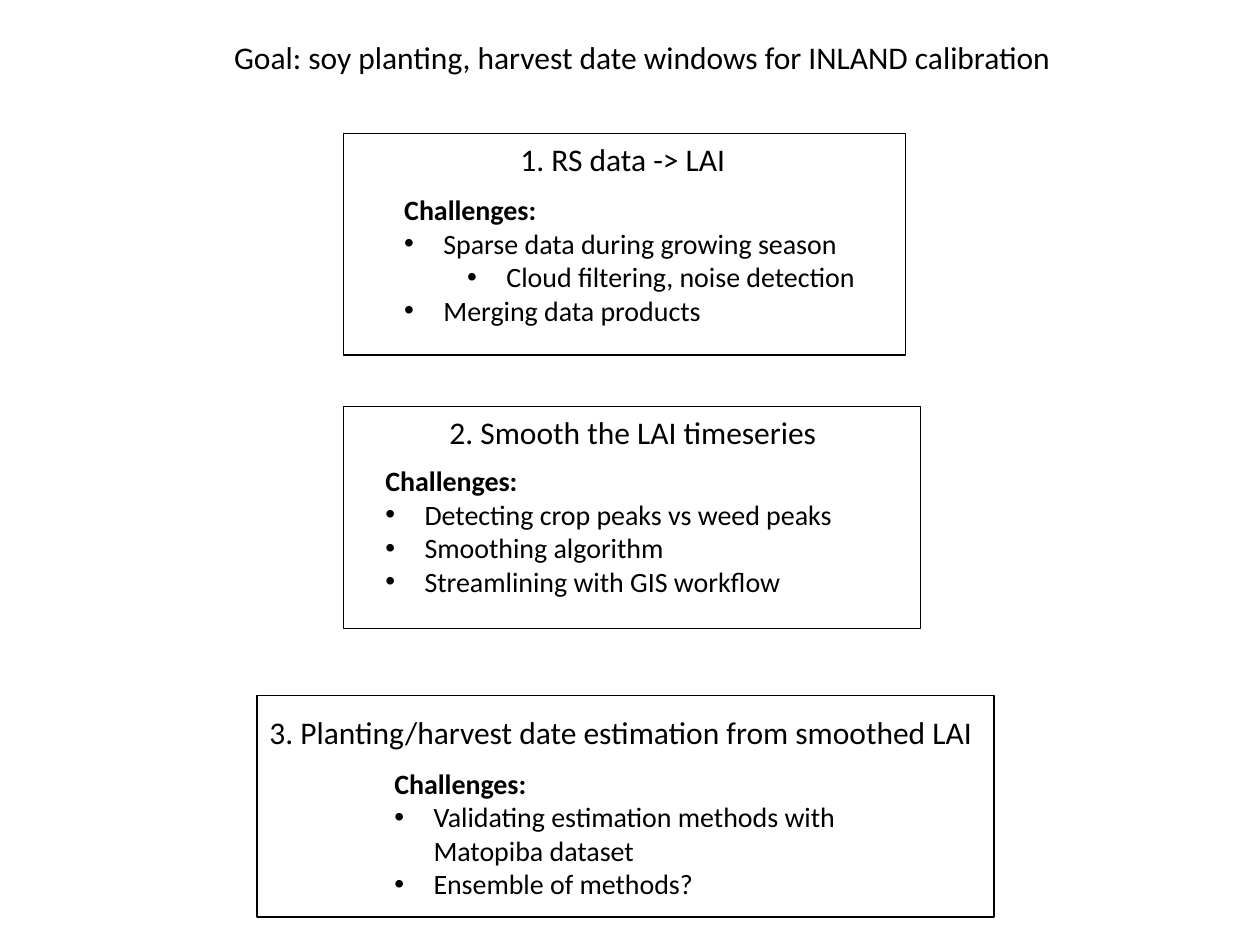
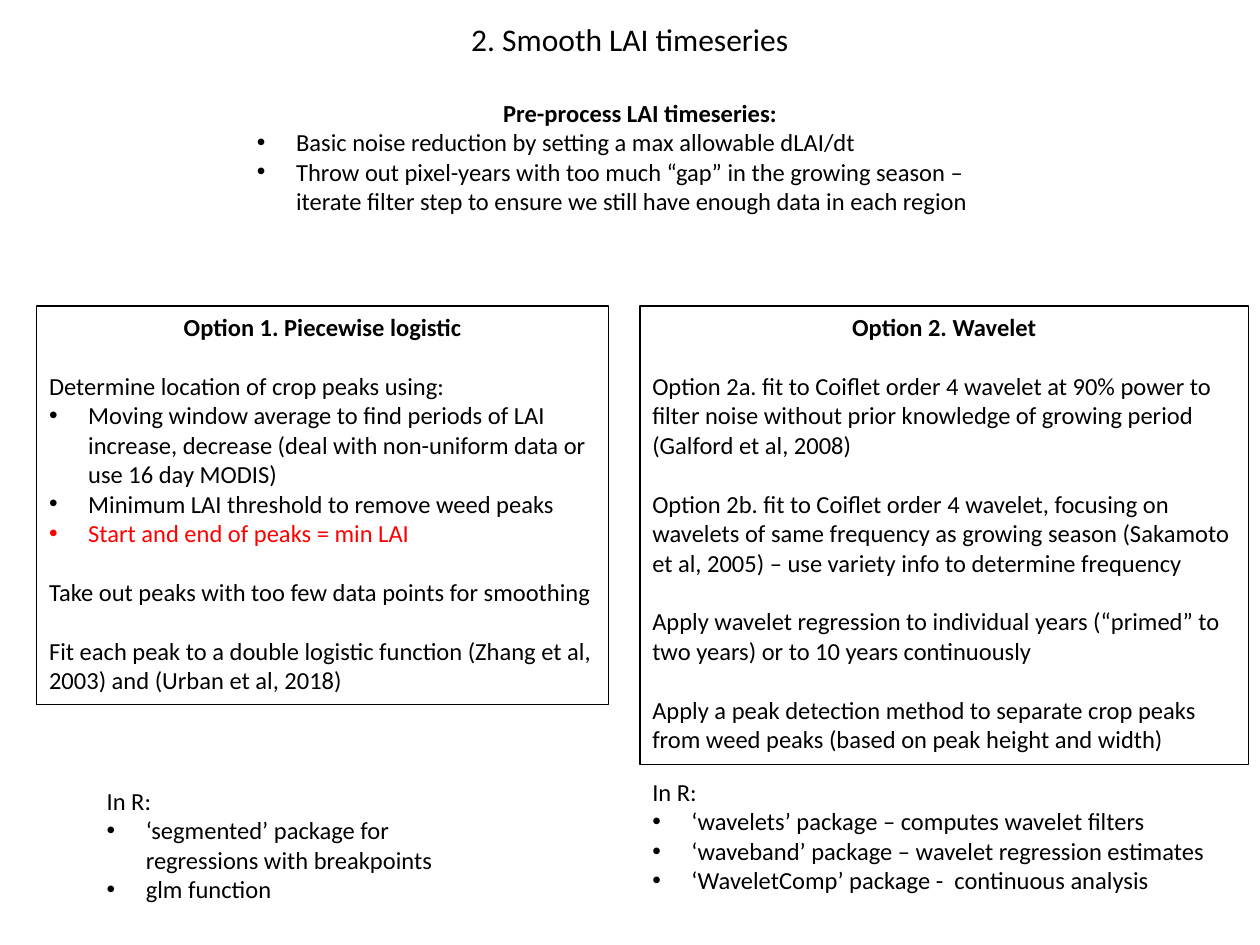
from dataclasses import dataclass

from lxml import etree
from pptx import Presentation
from pptx.dml.color import RGBColor
from pptx.enum import shapes, text
from pptx.oxml import ns
from pptx.util import Cm, Pt

BLACK = RGBColor(0, 0, 0)
RED = RGBColor(255, 0, 0)
FONT = "Calibri"
TITLE_SIZE, LIST_SIZE, BODY_SIZE = 18, 16, 14
TITLE_HEIGHT, STEP_HEIGHT = 1.02, 4.47
HANGING, LEVEL_INDENT = 0.79, 1.27
BLOCK_GAP = Pt(16.8)


@dataclass
class Line:
    words: str
    bold: bool = False
    centred: bool = False
    level: int = -1  # bullet level, -1 for no bullet
    colour: RGBColor = BLACK
    gap: bool = False


def bullet(words, level=0, colour=BLACK):
    return Line(words, level=level, colour=colour)


def heading(words, centred=False):
    return Line(words, bold=True, centred=centred)


def block(words):
    """A paragraph set off from the one above."""
    return Line(words, gap=True)


def add_bullet(para, level):
    para.level = level
    props = para._p.get_or_add_pPr()
    props.set("marL", str(Cm(HANGING + level * LEVEL_INDENT)))
    props.set("indent", str(-Cm(HANGING)))
    etree.SubElement(props, ns.qn("a:buFont")).set("typeface", "Arial")
    etree.SubElement(props, ns.qn("a:buChar")).set("char", "•")


def write(frame, lines, size, wrap=True):
    frame.word_wrap = wrap
    frame.vertical_anchor = text.MSO_ANCHOR.TOP
    for number, line in enumerate(lines):
        para = frame.add_paragraph() if number else frame.paragraphs[0]
        para.text = line.words
        para.alignment = text.PP_ALIGN.CENTER if line.centred else text.PP_ALIGN.LEFT
        if line.gap:
            para.space_before = BLOCK_GAP
        if line.level >= 0:
            add_bullet(para, line.level)
        font = para.font
        font.name, font.size, font.bold = FONT, Pt(size), line.bold
        font.color.rgb = line.colour


def add_text(parent, place, lines, size=BODY_SIZE, wrap=True):
    box = parent.shapes.add_textbox(*map(Cm, place))
    write(box.text_frame, lines, size, wrap)


def add_title(parent, left, top, width, words):
    add_text(parent, (left, top, width, TITLE_HEIGHT), [Line(words)], TITLE_SIZE, wrap=False)


def add_frame(parent, place, lines=()):
    """An outlined rectangle without fill, with optional body text."""
    box = parent.shapes.add_shape(shapes.MSO_SHAPE.RECTANGLE, *map(Cm, place))
    box.shadow.inherit = False
    box.fill.background()
    box.line.color.rgb = BLACK
    box.line.width = Pt(0.75)
    write(box.text_frame, lines, BODY_SIZE)


def add_step(page, frame, title, title_place, challenges, list_place, wrap=True):
    """A framed workflow step: title above a list of challenges."""
    group = page.shapes.add_group_shape()
    add_title(group, *title_place, title)
    add_text(group, (*list_place, 3), [heading("Challenges:"), *challenges], LIST_SIZE, wrap)
    add_frame(group, (*frame, STEP_HEIGHT))


def build_workflow(page):
    add_step(page, (6.93, 2.69, 11.33), "1. RS data -> LAI", (10.24, 2.69, 4.7), [
        bullet("Sparse data during growing season"),
        bullet("Cloud filtering, noise detection", level=1),
        bullet("Merging data products"),
    ], (7.9, 3.76, 9.68), wrap=False)
    add_step(page, (6.93, 8.2, 11.63), "2. Smooth the LAI timeseries", (8.81, 8.2, 8), [
        bullet("Detecting crop peaks vs weed peaks"),
        bullet("Smoothing algorithm"),
        bullet("Streamlining with GIS workflow"),
    ], (7.52, 9.22, 11.05))
    add_step(page, (5.18, 14.02, 14.86),
             "3. Planting/harvest date estimation from smoothed LAI", (5.18, 14.25, 14.86), [
        bullet("Validating estimation methods with Matopiba dataset"),
        bullet("Ensemble of methods?"),
    ], (7.7, 15.32, 11.23))
    add_title(page, 4.47, 0.64, 17.07,
              "Goal: soy planting, harvest date windows for INLAND calibration")


def build_smoothing(page):
    option_top = 6.17
    add_title(page, 9.25, 0.28, 6.96, "2. Smooth LAI timeseries")
    add_text(page, (4.93, 1.85, 15.95, 2.64), [
        heading("Pre-process LAI timeseries:", centred=True),
        bullet("Basic noise reduction by setting a max allowable dLAI/dt"),
        bullet("Throw out pixel-years with too much “gap” in the growing season – "
               "iterate filter step to ensure we still have enough data in each region"),
    ])
    add_frame(page, (0.74, option_top, 11.53, 8.03), [
        heading("Option 1. Piecewise logistic", centred=True),
        block("Determine location of crop peaks using:"),
        bullet("Moving window average to find periods of LAI increase, decrease "
               "(deal with non-uniform data or use 16 day MODIS)"),
        bullet("Minimum LAI threshold to remove weed peaks"),
        bullet("Start and end of peaks = min LAI", colour=RED),
        block("Take out peaks with too few data points for smoothing"),
        block("Fit each peak to a double logistic function (Zhang et al, 2003) "
              "and (Urban et al, 2018)"),
    ])
    add_frame(page, (12.9, option_top, 12.27, 9.25), [
        heading("Option 2. Wavelet", centred=True),
        block("Option 2a. fit to Coiflet order 4 wavelet at 90% power to filter noise "
              "without prior knowledge of growing period (Galford et al, 2008)"),
        block("Option 2b. fit to Coiflet order 4 wavelet, focusing on wavelets of same "
              "frequency as growing season (Sakamoto et al, 2005) – use variety info "
              "to determine frequency"),
        block("Apply wavelet regression to individual years (“primed” to two years) "
              "or to 10 years continuously"),
        block("Apply a peak detection method to separate crop peaks from weed peaks "
              "(based on peak height and width)"),
    ])
    add_text(page, (1.9, 15.72, 8.51, 2.64), [
        Line("In R:"),
        bullet("‘segmented’ package for regressions with breakpoints"),
        bullet("glm function"),
    ])
    add_text(page, (12.9, 15.54, 11.81, 2.64), [
        Line("In R:"),
        bullet("‘wavelets’ package – computes wavelet filters"),
        bullet("‘waveband’ package – wavelet regression estimates"),
        bullet("‘WaveletComp’ package -  continuous analysis"),
    ], wrap=False)


def main():
    deck = Presentation()
    deck.slide_width, deck.slide_height = Cm(25.4), Cm(19.05)
    blank = deck.slide_layouts[6]
    for build in (build_workflow, build_smoothing):
        build(deck.slides.add_slide(blank))
    deck.save("out.pptx")


if __name__ == "__main__":
    main()
